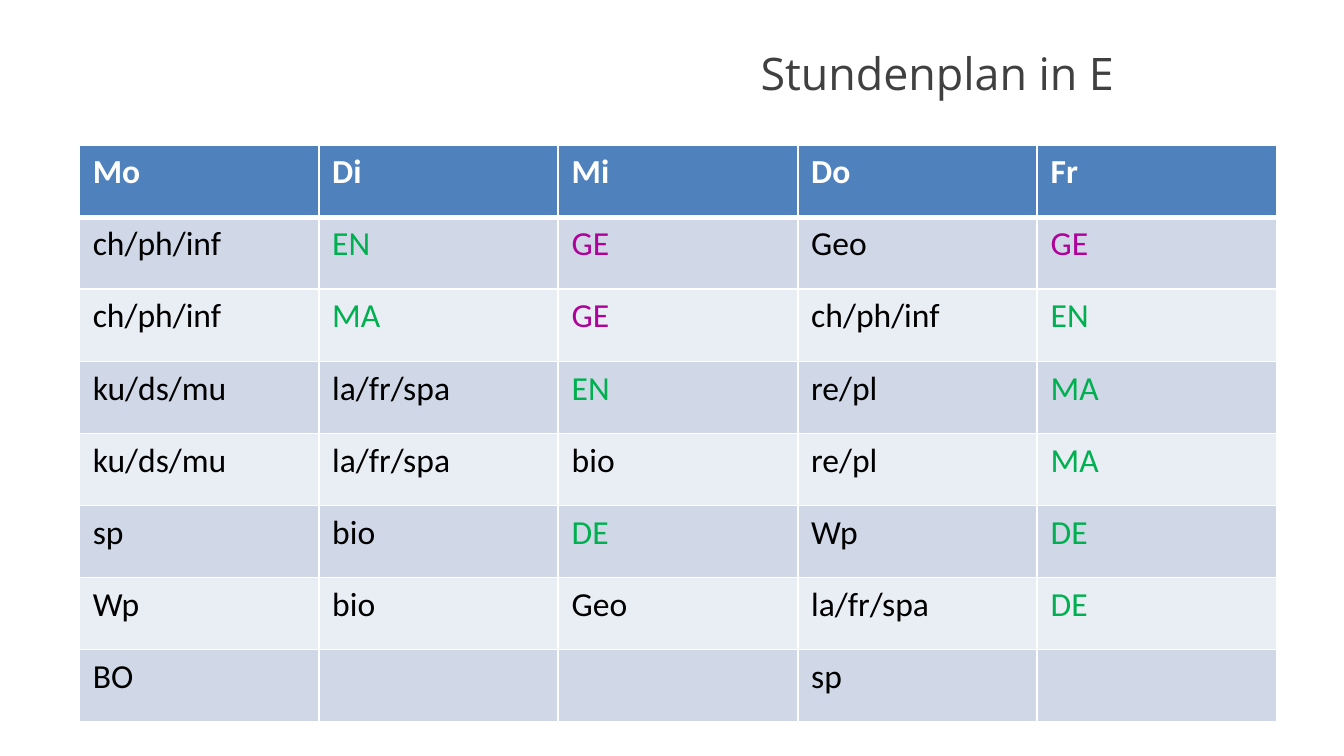
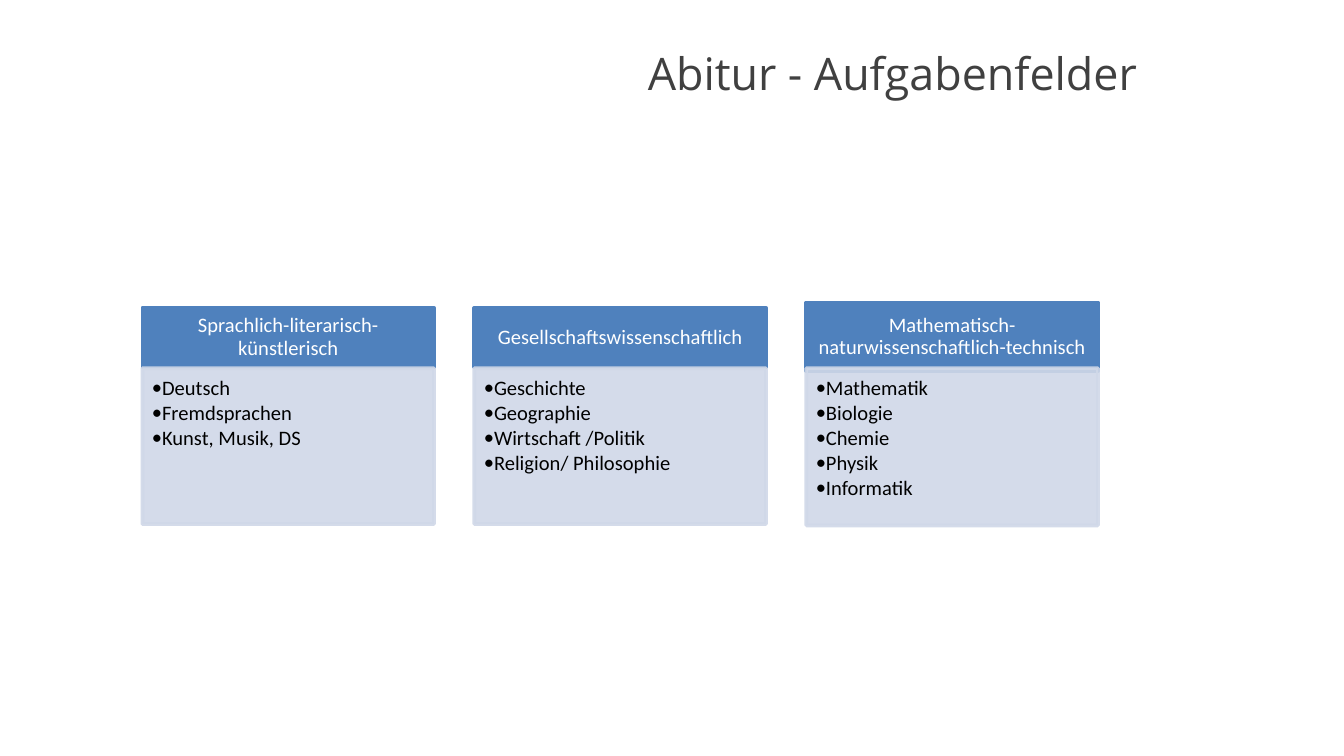
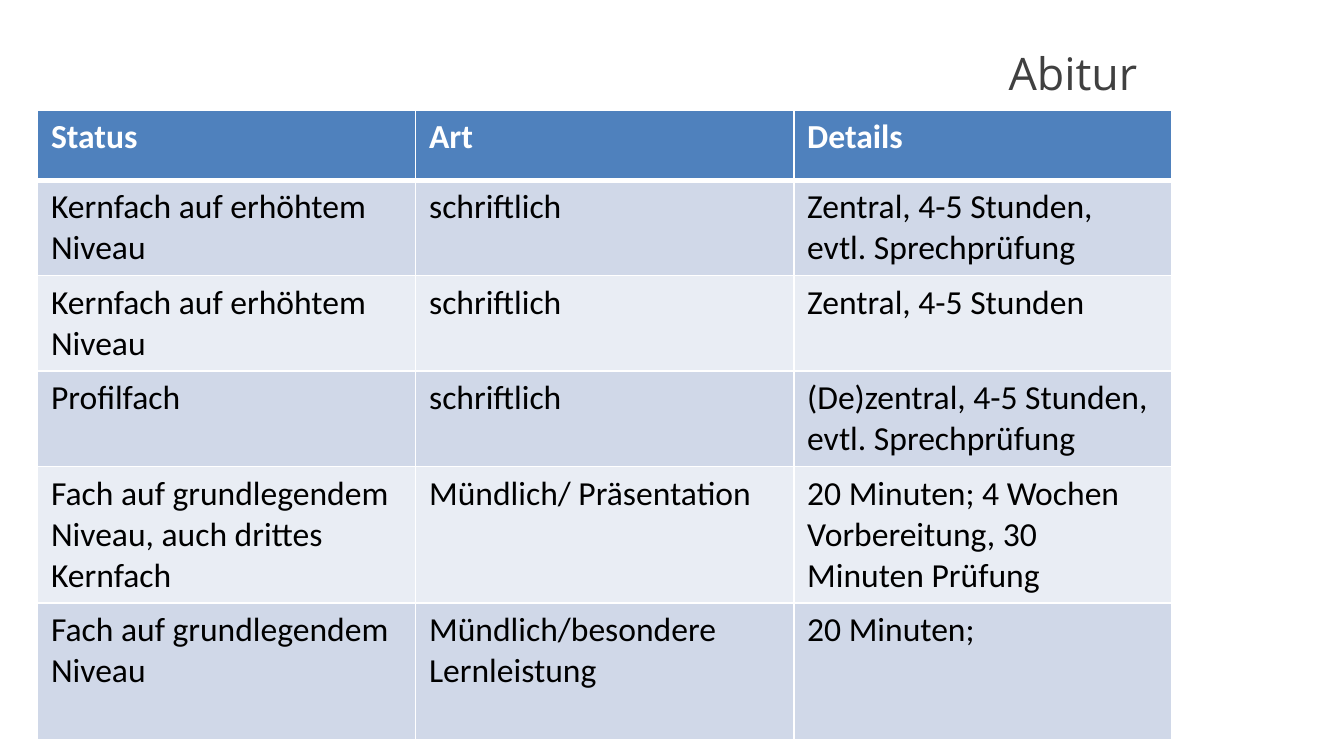
from lxml import etree
from pptx import Presentation
from pptx.dml.color import RGBColor
from pptx.enum.shapes import MSO_SHAPE
from pptx.enum.text import MSO_ANCHOR, PP_ALIGN
from pptx.oxml.ns import qn
from pptx.util import Inches, Pt

RECT = MSO_SHAPE.RECTANGLE
TOP, MIDDLE = MSO_ANCHOR.TOP, MSO_ANCHOR.MIDDLE
LEFT, CENTER, RIGHT = PP_ALIGN.LEFT, PP_ALIGN.CENTER, PP_ALIGN.RIGHT

COLORS = {
    "white": "FFFFFF", "black": "000000", "title": "404040",
    "head": "4F81BD", "band": "D0D8E8", "pale": "E9EDF4",
    "core": "00B050", "profile": "AE029A",
}
HEAD_FONT, BODY_FONT = "Open Sans", "Calibri"
SUBJECTS = {"EN": "core", "MA": "core", "DE": "core", "GE": "profile"}

PLAN = [
    ["Mo", "Di", "Mi", "Do", "Fr"],
    ["ch/ph/inf", "EN", "GE", "Geo", "GE"],
    ["ch/ph/inf", "MA", "GE", "ch/ph/inf", "EN"],
    ["ku/ds/mu", "la/fr/spa", "EN", "re/pl", "MA"],
    ["ku/ds/mu", "la/fr/spa", "bio", "re/pl", "MA"],
    ["sp", "bio", "DE", "Wp", "DE"],
    ["Wp", "bio", "Geo", "la/fr/spa", "DE"],
    ["BO", "", "", "sp", ""],
]
FIELDS = [
    ("Sprachlich-literarisch-künstlerisch", 2.29, 0.44, 1.16,
     ["Deutsch", "Fremdsprachen", "Kunst, Musik, DS"]),
    ("Gesellschaftswissenschaftlich", 2.29, 0.44, 1.16,
     ["Geschichte", "Geographie", "Wirtschaft /Politik", "Religion/ Philosophie"]),
    ("Mathematisch-naturwissenschaftlich-technisch", 2.25, 0.51, 1.17,
     ["Mathematik", "Biologie", "Chemie", "Physik", "Informatik"]),
]
EXAMS = [
    ["Status", "Art", "Details"],
    ["Kernfach auf erhöhtem Niveau", "schriftlich",
     "Zentral, 4-5 Stunden, evtl. Sprechprüfung"],
    ["Kernfach auf erhöhtem Niveau", "schriftlich", "Zentral, 4-5 Stunden"],
    ["Profilfach", "schriftlich", "(De)zentral, 4-5 Stunden, evtl. Sprechprüfung"],
    ["Fach auf grundlegendem Niveau, auch drittes Kernfach", "Mündlich/ Präsentation",
     "20 Minuten; 4 Wochen Vorbereitung, 30 Minuten Prüfung"],
    ["Fach auf grundlegendem Niveau", "Mündlich/besondere Lernleistung", "20 Minuten;"],
]


def paint(fill, color, alpha=100):
    fill.solid()
    fill.fore_color.rgb = RGBColor.from_string(COLORS[color])
    if alpha < 100:
        tone = fill.fore_color._xFill.find(qn("a:srgbClr"))
        etree.SubElement(tone, qn("a:alpha"), val=str(alpha * 1000))


def write(frame, lines, size=18, color="black", font=BODY_FONT, bold=False,
          align=LEFT, spacing=None, after=0, bullet=None):
    """Fill a text frame with one paragraph per line."""
    frame.word_wrap = True
    for i, line in enumerate(lines):
        par = frame.add_paragraph() if i else frame.paragraphs[0]
        par.alignment, par.line_spacing, par.space_after = align, spacing, Pt(after)
        if bullet:
            props = par._p.get_or_add_pPr()
            props.set("marL", str(Inches(0.06)))
            props.set("indent", str(-Inches(0.06)))
            etree.SubElement(props, qn("a:buFont"), typeface=font)
            etree.SubElement(props, qn("a:buChar"), char=bullet)
        run = par.add_run()
        run.text = line
        run.font.name, run.font.size, run.font.bold = font, Pt(size), bold
        run.font.color.rgb = RGBColor.from_string(COLORS[color])


def inset(frame, left, top, right, bottom):
    frame.margin_left, frame.margin_top = Inches(left), Inches(top)
    frame.margin_right, frame.margin_bottom = Inches(right), Inches(bottom)


def border(cell, top=1, bottom=1):
    """Draw white cell edges; widths are in points."""
    props = cell._tc.get_or_add_tcPr()
    for side, width in zip("LRTB", (1, 1, top, bottom)):
        edge = etree.SubElement(props, qn("a:ln" + side), w=str(Pt(width)))
        fill = etree.SubElement(edge, qn("a:solidFill"))
        etree.SubElement(fill, qn("a:srgbClr"), val=COLORS["white"])


class Deck:
    """Holds the shared style and the current slide."""

    def __init__(self):
        self.prs = Presentation()
        self.prs.slide_width = Inches(10)
        self.prs.slide_height = Inches(10) * 9 // 16
        self.slide = None

    def start(self, title, right=0.1):
        """Add a slide with its title, set in from the right."""
        self.slide = self.prs.slides.add_slide(self.prs.slide_layouts[6])
        box = self.box(3.24, 0.26, 5.32, 0.56, "white")
        inset(box.text_frame, 0.1, 0.05, right, 0.05)
        write(box.text_frame, [title], size=24, color="title", font=HEAD_FONT, align=RIGHT)

    def box(self, left, top, width, height, color, alpha=100, line=0, anchor=MIDDLE):
        shape = self.slide.shapes.add_shape(
            RECT, Inches(left), Inches(top), Inches(width), Inches(height))
        shape.shadow.inherit = False
        paint(shape.fill, color, alpha)
        if line:
            paint(shape.line.fill, color, alpha)
            shape.line.width = Pt(line)
        else:
            shape.line.fill.background()
        shape.text_frame.vertical_anchor = anchor
        return shape

    def field(self, left, name, top, head, body, items):
        """Draw a heading box above a bulleted box."""
        box = self.box(left, top, 2.17, head, "head", line=2)
        inset(box.text_frame, 0.08, 0.05, 0.08, 0.05)
        write(box.text_frame, [name], size=11, color="white", align=CENTER, spacing=0.9)
        box = self.box(left, 2.74, 2.17, body, "band", alpha=90, line=2, anchor=TOP)
        inset(box.text_frame, 0.07, 0.07, 0.09, 0.1)
        write(box.text_frame, items, size=11, spacing=0.9, after=1.5, bullet="•")

    def table(self, left, top, width, heights, rows):
        count = len(rows[0])
        grid = self.slide.shapes.add_table(
            len(rows), count, Inches(left), Inches(top),
            Inches(width), Inches(sum(heights))).table
        for col in grid.columns:
            col.width = Inches(width / count)
        for r, (row, height) in enumerate(zip(rows, heights)):
            grid.rows[r].height = Inches(height)
            head = r == 0
            back = "head" if head else "band" if r % 2 else "pale"
            for c, text in enumerate(row):
                cell = grid.cell(r, c)
                border(cell, top=3 if r == 1 else 1, bottom=3 if head else 1)
                paint(cell.fill, back)
                if text:
                    color = "white" if head else SUBJECTS.get(text, "black")
                    write(cell.text_frame, [text], color=color, bold=head)


def main():
    deck = Deck()
    deck.start("Stundenplan in E", right=0.27)
    deck.table(0.59, 1.08, 8.91, [4.29 / len(PLAN)] * len(PLAN), PLAN)

    deck.start("Abitur - Aufgabenfelder")
    for i, field in enumerate(FIELDS):
        deck.field(1.06 + 2.47 * i, *field)

    deck.start("Abitur")
    deck.table(0.28, 0.82, 8.44, [0.52, 0.7, 0.7, 0.7, 0.99, 1.02], EXAMS)
    deck.prs.save("out.pptx")


if __name__ == "__main__":
    main()
